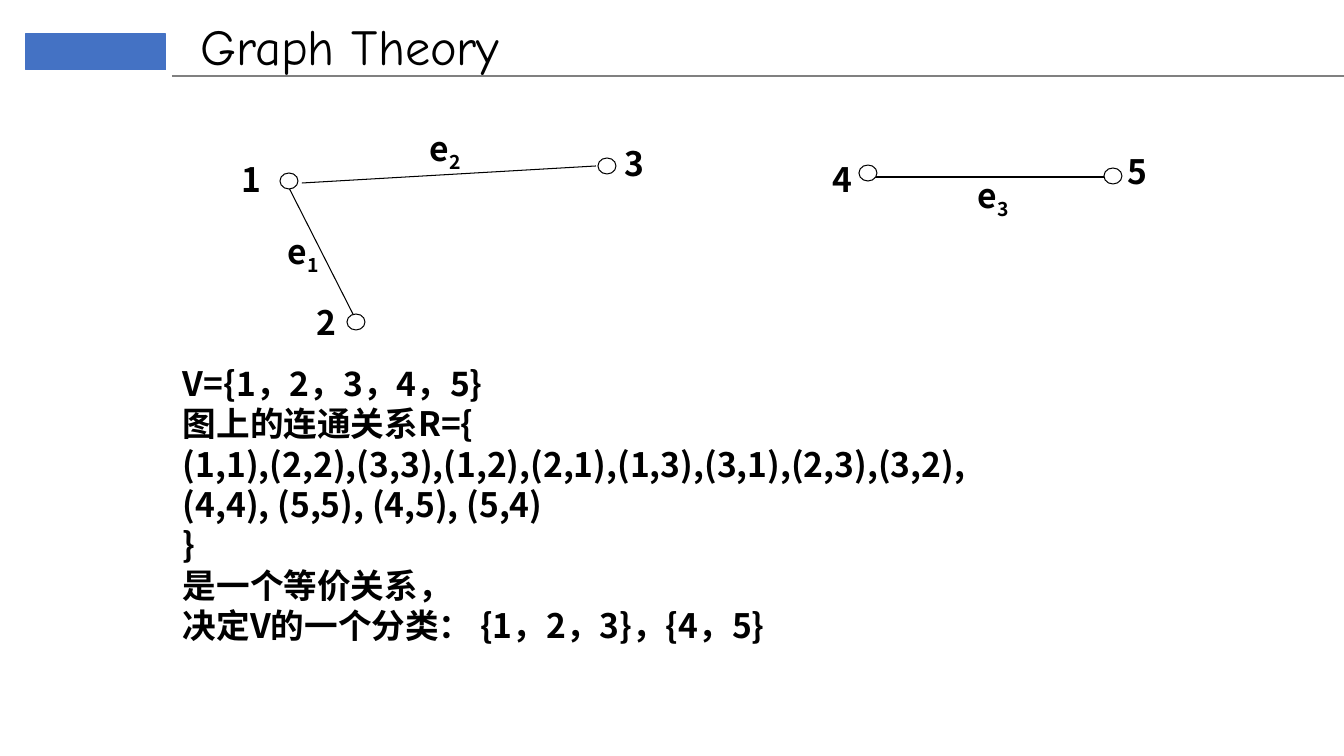
from pptx import Presentation
from pptx import util as u
from pptx.dml.color import RGBColor
from pptx.enum import shapes, text
from pptx.oxml.ns import qn
from lxml import etree

PX = 914400 / 100.8  # EMU in one px
COLORS = {"ink": "000000", "paper": "FFFFFF", "rule": "808080", "accent": "4472C4"}
CJK, HAND = "Noto Sans CJK SC", "Comic Neue"
NODE_W, NODE_H = 18, 16

# Nodes: label, circle corner, label corner. Edges: index, start, end, label corner.
COMPONENTS = [
    {"nodes": [("4", (859, 165), (833, 159)),
               ("5", (1104, 168), (1127, 151))],
     "edges": [("3", (875, 177), (1120, 177), (978, 175))]},
    {"nodes": [("1", (280, 173), (241, 159)),
               ("2", (347, 314), (316, 302)),
               ("3", (598, 158), (625, 143))],
     "edges": [("2", (302, 183), (596, 166), (430, 128)),
               ("1", (284, 178), (355, 318), (288, 231))]},
]
RELATION = [
    "V={1，2，3，4，5}",
    "图上的连通关系R={",
    "(1,1),(2,2),(3,3),(1,2),(2,1),(1,3),(3,1),(2,3),(3,2),",
    "(4,4), (5,5), (4,5), (5,4)",
    "}",
    "是一个等价关系，",
    "决定V的一个分类： {1，2，3}，{4，5}",
]


def px(*lengths):
    return [u.Emu(round(length * PX)) for length in lengths]


def color(name):
    return RGBColor.from_string(COLORS[name])


def add_run(paragraph, words, size=24, font=CJK, bold=True):
    run = paragraph.add_run()
    run.text = words
    run.font.size, run.font.bold, run.font.name = u.Pt(size), bold, font
    run.font.color.rgb = color("ink")
    props = run.font._element
    etree.SubElement(props, qn("a:ea")).set("typeface", font)
    return props


def set_frame(frame, inset_x=0, inset_y=0):
    frame.word_wrap = True
    frame.auto_size = text.MSO_AUTO_SIZE.NONE
    frame.vertical_anchor = text.MSO_ANCHOR.TOP
    frame.margin_left = frame.margin_right = px(inset_x)[0]
    frame.margin_top = frame.margin_bottom = px(inset_y)[0]


def place(holder, left, top, width, height):
    holder.left, holder.top, holder.width, holder.height = px(left, top, width, height)
    set_frame(holder.text_frame, 10, 5)
    return holder.text_frame


def add_line(parent, start, end, ink="ink", weight=0.75):
    line = parent.add_connector(shapes.MSO_CONNECTOR.STRAIGHT, *px(*start, *end))
    line.line.color.rgb = color(ink)
    line.line.width = u.Pt(weight)
    etree.SubElement(line._element.spPr, qn("a:effectLst"))


def add_label(parent, corner, words, subscript=""):
    label = parent.add_textbox(*px(*corner, 54, 55))
    set_frame(label.text_frame)
    paragraph = label.text_frame.paragraphs[0]
    paragraph.alignment = text.PP_ALIGN.JUSTIFY
    add_run(paragraph, words)
    if subscript:
        add_run(paragraph, subscript).set("baseline", "-25000")


def add_solid(parent, preset, box, fill, outline):
    solid = parent.add_shape(preset, *px(*box))
    solid.shadow.inherit = False
    solid.fill.solid()
    solid.fill.fore_color.rgb = color(fill)
    solid.line.color.rgb = color(outline)
    solid.line.width = u.Pt(0.75)


def add_component(slide, component):
    group = slide.shapes.add_group_shape().shapes
    for index, start, end, label_corner in component["edges"]:
        add_line(group, start, end)
        add_label(group, label_corner, "e", index)
    for number, corner, label_corner in component["nodes"]:
        add_solid(group, shapes.MSO_SHAPE.OVAL, (*corner, NODE_W, NODE_H), "paper", "ink")
        add_label(group, label_corner, number)


def add_header(slide):
    add_solid(slide.shapes, shapes.MSO_SHAPE.RECTANGLE, (26, 34, 140, 36), "accent", "accent")
    add_line(slide.shapes, (172, 76), (1344, 76), "rule", 2)

    heading = place(slide.shapes.title, 190, 10, 869, 72).paragraphs[0]
    heading.alignment = text.PP_ALIGN.LEFT
    add_run(heading, "Graph Theory", 36, HAND, bold=False)


def add_relation(slide):
    frame = place(slide.placeholders[1], 173, 358, 981, 381)
    for number, statement in enumerate(RELATION):
        paragraph = frame.add_paragraph() if number else frame.paragraphs[0]
        paragraph.alignment = text.PP_ALIGN.JUSTIFY
        paragraph.space_before = paragraph.space_after = u.Pt(0)
        props = paragraph._p.get_or_add_pPr()
        props.set("marL", "0")
        props.set("indent", "0")
        etree.SubElement(props, qn("a:buNone"))
        add_run(paragraph, statement)


def main():
    deck = Presentation()
    deck.slide_width, deck.slide_height = px(1344, 756)
    slide = deck.slides.add_slide(deck.slide_layouts[1])

    # Header band
    add_header(slide)
    # Graph, one group for each connected component
    for component in COMPONENTS:
        add_component(slide, component)
    # Equivalence relation
    add_relation(slide)

    deck.save("out.pptx")


if __name__ == "__main__":
    main()
